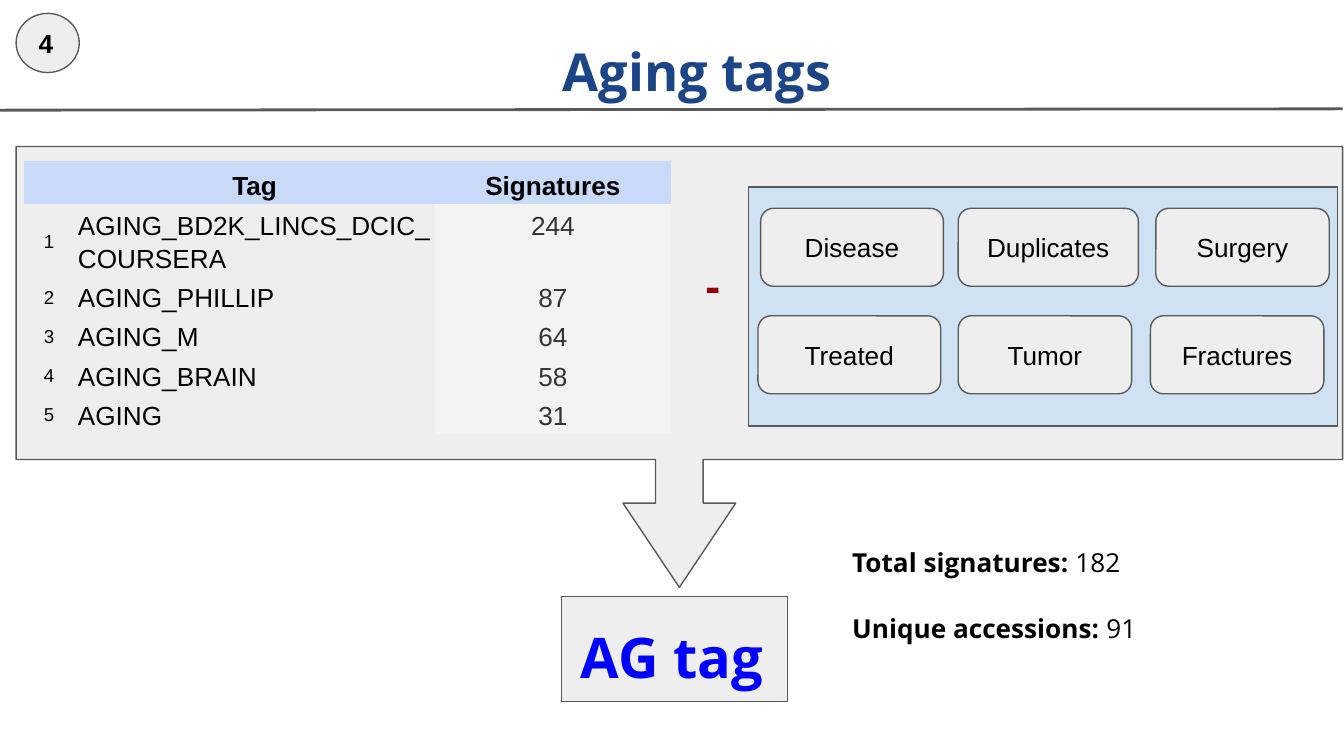
from lxml import etree
from pptx import Presentation
from pptx.dml.color import RGBColor
from pptx.enum.shapes import MSO_CONNECTOR, MSO_SHAPE
from pptx.enum.text import MSO_ANCHOR, MSO_AUTO_SIZE, PP_ALIGN
from pptx.oxml.ns import qn
from pptx.util import Inches, Pt

LEFT, CENTER = PP_ALIGN.LEFT, PP_ALIGN.CENTER
TOP, MIDDLE, BOTTOM = MSO_ANCHOR.TOP, MSO_ANCHOR.MIDDLE, MSO_ANCHOR.BOTTOM
RECT, ROUNDED = MSO_SHAPE.RECTANGLE, MSO_SHAPE.ROUNDED_RECTANGLE
OVAL, CALLOUT = MSO_SHAPE.OVAL, MSO_SHAPE.DOWN_ARROW_CALLOUT

# Content
TITLE = "Aging tags"
STEP = "4"
HEADER = ("", "Tag", "Signatures")
TAGS = [
    ("AGING_BD2K_LINCS_DCIC_COURSERA", "244"),
    ("AGING_PHILLIP", "87"),
    ("AGING_M", "64"),
    ("AGING_BRAIN", "58"),
    ("AGING", "31"),
]
# Excluded groups by row: top, then (label, left, width)
EXCLUDED = [
    (1.55, [("Disease", 5.66, 1.36), ("Duplicates", 7.13, 1.34), ("Surgery", 8.6, 1.29)]),
    (2.35, [("Treated", 5.64, 1.36), ("Tumor", 7.13, 1.29), ("Fractures", 8.56, 1.29)]),
]
RESULT = "AG tag"
TOTALS = [("Total signatures:", " 182"), ("Unique accessions: ", "91")]

THEME = {
    "body_font": "Arial", "display_font": "Open Sans",
    "title": 28, "result": 30, "minus": 24, "text": 14, "index": 10, "blank": 18,
    "panel": "EEEEEE", "excluded": "CFE2F3", "header": "C9DAF8", "count": "F3F3F3",
    "line": "595959", "black": "000000", "count_text": "333333",
    "title_text": "1C4587", "result_text": "0000FF", "minus_text": "980000",
}
NO_STYLE_NO_GRID = "{2D5ABB26-0587-4C30-8999-92F81FD0307C}"
LINE_SPACING = 1.15


def color(name):
    return RGBColor.from_string(THEME[name])


def style_run(r, size="text", ink="black", bold=False, font="body_font"):
    r.font.name = THEME[font]
    r.font.size = Pt(THEME[size])
    r.font.bold = bold
    r.font.color.rgb = color(ink)


def style_frame(tf, anchor=TOP):
    tf.word_wrap = True
    tf.auto_size = MSO_AUTO_SIZE.NONE
    tf.vertical_anchor = anchor
    tf.margin_left = tf.margin_right = tf.margin_top = tf.margin_bottom = Inches(0.1)


def style_paragraph(p, align=LEFT, spacing=LINE_SPACING, before=0, after=0):
    p.alignment = align
    p.line_spacing = spacing
    p.space_before, p.space_after = Pt(before), Pt(after)


def place(sp, left, top, width, height):
    sp.left, sp.top = Inches(left), Inches(top)
    sp.width, sp.height = Inches(width), Inches(height)


def remove_bullet(p):
    pPr = p._p.get_or_add_pPr()
    pPr.set("marL", "0")
    pPr.set("indent", "0")
    etree.SubElement(pPr, qn("a:buNone"))


def add_box(s, kind, box, fill="panel", text="", align=CENTER, bold=False):
    sp = s.shapes.add_shape(kind, *map(Inches, box))
    sp.shadow.inherit = False
    sp.fill.solid()
    sp.fill.fore_color.rgb = color(fill)
    sp.line.color.rgb = color("line")
    sp.line.width = Pt(0.75)
    if text:
        style_frame(sp.text_frame, MIDDLE)
        p = sp.text_frame.paragraphs[0]
        p.text = text
        p.alignment = align
        style_run(p.runs[0], bold=bold)
    return sp


def fill_cell(cell, text, align, anchor, fill=None, **run_style):
    cell.margin_left = cell.margin_right = Inches(0.03)
    cell.margin_top = cell.margin_bottom = Inches(0.02)
    cell.vertical_anchor = anchor
    if fill:
        cell.fill.solid()
        cell.fill.fore_color.rgb = color(fill)
    else:
        cell.fill.background()
    p = cell.text_frame.paragraphs[0]
    if text:
        p.text = text
        style_paragraph(p, align)
        style_run(p.runs[0], **run_style)
    else:  # the type size of a blank cell still sets the row height
        end = etree.SubElement(p._p, qn("a:endParaRPr"), sz=str(THEME["blank"] * 100))
        etree.SubElement(end, qn("a:latin"), typeface=THEME["body_font"])


def add_tag_table(s):
    widths, heights = (0.37, 2.69, 1.75), (0.27, 0.33, 0.28, 0.28, 0.28, 0.28)
    frame = s.shapes.add_table(len(heights), len(widths), Inches(0.18), Inches(1.2),
                               Inches(sum(widths)), Inches(sum(heights)))
    table = frame.table
    table.first_row = table.horz_banding = False
    table._tbl.tblPr.find(qn("a:tableStyleId")).text = NO_STYLE_NO_GRID
    for column, width in zip(table.columns, widths):
        column.width = Inches(width)
    for row, height in zip(table.rows, heights):
        row.height = Inches(height)
    for c, label in enumerate(HEADER):
        fill_cell(table.cell(0, c), label, CENTER, BOTTOM, "header", bold=True)
    for i, (tag, count) in enumerate(TAGS, 1):
        fill_cell(table.cell(i, 0), str(i), CENTER, MIDDLE, size="index")
        fill_cell(table.cell(i, 1), tag, LEFT, TOP)
        fill_cell(table.cell(i, 2), count, CENTER, TOP, "count", ink="count_text")


# Widescreen slide, 16:9
prs = Presentation()
prs.slide_width, prs.slide_height = Inches(10), Inches(10 * 9 / 16)
s = prs.slides.add_slide(prs.slide_layouts[3])
title, result, totals = s.placeholders

# Panels, drawn behind the placeholders
panels = [
    add_box(s, RECT, (4.18, 4.44, 1.68, 0.78)),
    add_box(s, OVAL, (0.12, 0.1, 0.47, 0.44), text=STEP, align=LEFT, bold=True),
    add_box(s, CALLOUT, (0.12, 1.09, 9.87, 3.28)),
    add_box(s, RECT, (5.57, 1.39, 4.38, 1.78), "excluded"),
]
for i, value in enumerate((0.108, 0.128, 0.191, 0.71)):
    panels[2].adjustments[i] = value
for sp in panels:
    title._element.addprevious(sp._element)

# Title and the rule under it
place(title, 2.93, 0.19, 4.51, 0.63)
style_frame(title.text_frame)
p = title.text_frame.paragraphs[0]
p.text = TITLE
style_paragraph(p, CENTER, 1)
style_run(p.runs[0], "title", "title_text", True, "display_font")

rule = s.shapes.add_connector(MSO_CONNECTOR.STRAIGHT, Inches(-0.03), Inches(0.82),
                              Inches(9.99), Inches(0.81))
rule.line.color.rgb = color("line")
rule.line.width = Pt(1.5)
etree.SubElement(rule._element.spPr, qn("a:effectLst"))

# Tags minus excluded groups
add_tag_table(s)
for top, chips in EXCLUDED:
    for label, left, width in chips:
        add_box(s, ROUNDED, (left, top, width, 0.58), text=label)

minus = s.shapes.add_textbox(*map(Inches, (5.15, 1.82, 0.42, 0.54)))
style_frame(minus.text_frame)
p = minus.text_frame.paragraphs[0]
p.text = "-"
style_run(p.runs[0], "minus", "minus_text", True)

# Resulting tag
place(result, 4.22, 4.46, 1.68, 0.73)
style_frame(result.text_frame)
p = result.text_frame.paragraphs[0]
p.text = RESULT
style_paragraph(p, after=16)
remove_bullet(p)
style_run(p.runs[0], "result", "result_text", True, "display_font")

# Totals
place(totals, 6.24, 3.93, 4.17, 1.29)
tf = totals.text_frame
style_frame(tf)
for i, (label, value) in enumerate(TOTALS):
    p = tf.add_paragraph() if i else tf.paragraphs[0]
    style_paragraph(p, before=16 if i else 0)
    remove_bullet(p)
    for text, bold in ((label, True), (value, False)):
        r = p.add_run()
        r.text = text
        style_run(r, bold=bold, font="display_font")

prs.save("out.pptx")
